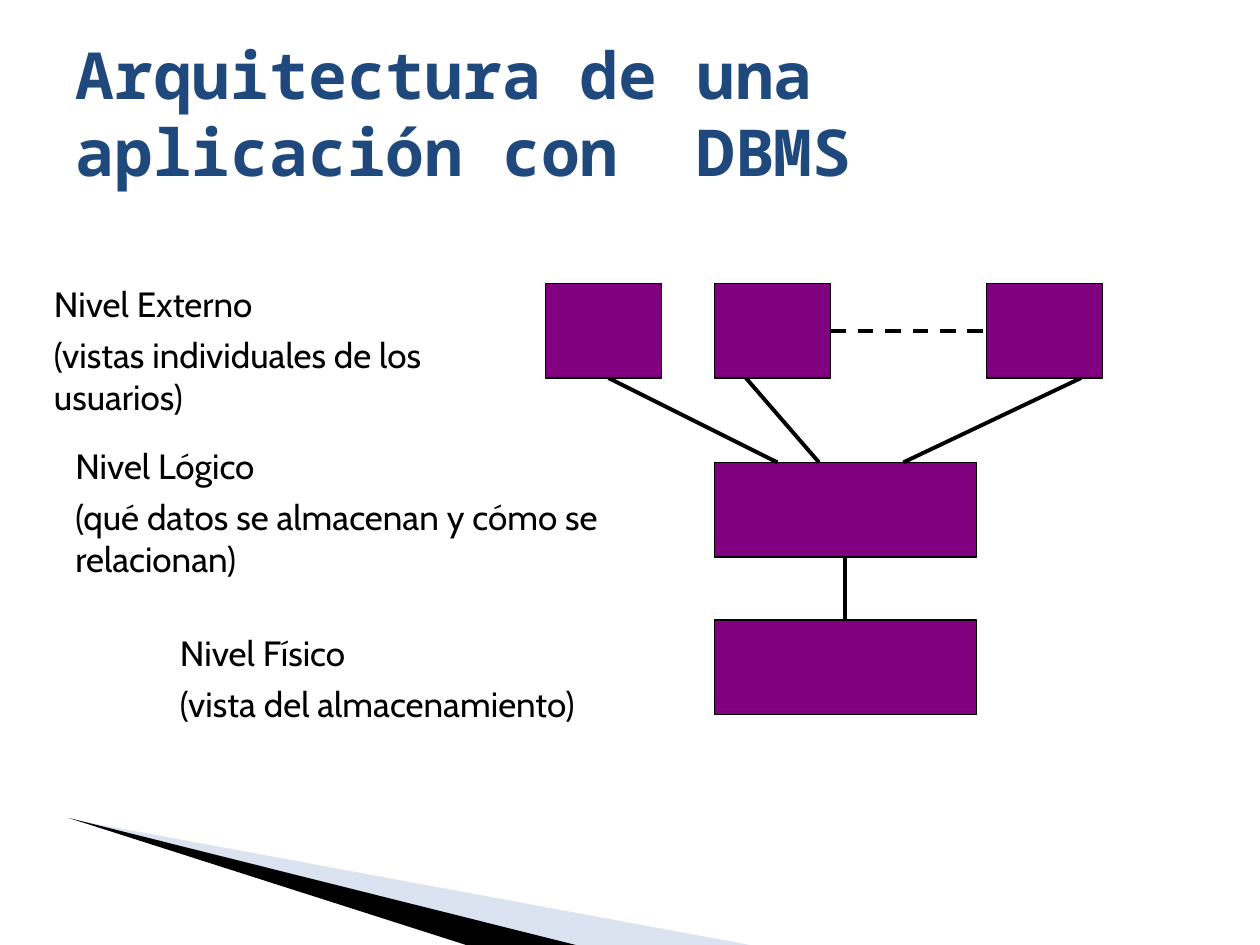
import pptx
import pptx.util
import pptx.dml.color
import pptx.enum.dml
import pptx.enum.shapes
import pptx.enum.text
import pptx.oxml
import pptx.oxml.ns

Inches = pptx.util.Inches
Pt = pptx.util.Pt

COLORS = {"title": "1F497D", "box": "800080", "ink": "000000", "pale": "A6B9DB"}
TITLE = "Arquitectura de una aplicación con  DBMS"
LEVELS = [
    (("Nivel Externo", "(vistas individuales de los usuarios)"), (0.33, 2.19, 3.75, 1.17)),
    (("Nivel Lógico", "(qué datos se almacenan y cómo se relacionan)"), (0.5, 3.48, 5, 1.17)),
    (("Nivel Físico", "(vista del almacenamiento)"), (1.33, 4.96, 4.25, 0.84)),
]
HIGH = 0.75
SMALL, WIDE = 0.92, 2.08
VIEW_Y, LOGIC_Y, DISK_Y = 2.25, 3.67, 4.92
BOXES = {
    "first": (4.33, VIEW_Y, SMALL),
    "second": (5.67, VIEW_Y, SMALL),
    "last": (7.83, VIEW_Y, SMALL),
    "logic": (5.67, LOGIC_Y, WIDE),
    "disk": (5.67, DISK_Y, WIDE),
}
SPOKES = [(4.83, 6.17), (5.92, 6.5), (8.58, 7.17)]
JOINS = [("second", 3, "last", 1, True), ("logic", 2, "disk", 0, False)]
WEDGES = [
    ([(0.55, 6.5), (5.95, 7.5), (4.56, 7.5)], "pale", 40),
    ([(0.54, 6.49), (4.57, 7.5), (3.7, 7.5)], "ink", 100),
]


def shade(name):
    return pptx.dml.color.RGBColor.from_string(COLORS[name])


def write(shape, lines, font="Cabin", size=20, color="ink", bold=False, before=0):
    frame = shape.text_frame
    frame.word_wrap = True
    frame.auto_size = pptx.enum.text.MSO_AUTO_SIZE.NONE
    frame.vertical_anchor = pptx.enum.text.MSO_ANCHOR.MIDDLE
    for i, line in enumerate(lines):
        para = frame.add_paragraph() if i else frame.paragraphs[0]
        para.alignment = pptx.enum.text.PP_ALIGN.LEFT
        para.space_before = Pt(before)
        run = para.add_run()
        run.text = line
        run.font.name = font
        run.font.size = Pt(size)
        run.font.bold = bold
        run.font.color.rgb = shade(color)


def link(shapes, start, end, dash=False):
    line = shapes.add_connector(
        pptx.enum.shapes.MSO_CONNECTOR.STRAIGHT, *map(Inches, start + end))
    line.line.color.rgb = shade("ink")
    line.line.width = Pt(2.25)
    if dash:
        line.line.dash_style = pptx.enum.dml.MSO_LINE.DASH
    props = line._element.spPr
    props.append(pptx.oxml.parse_xml(f"<a:effectLst {pptx.oxml.ns.nsdecls('a')}/>"))
    return line


def wedge(shapes, points, color, alpha):
    spots = [tuple(map(Inches, point)) for point in points]
    form = shapes.build_freeform(*spots[0])
    form.add_line_segments(spots[1:], close=True)
    shape = form.convert_to_shape()
    shape.shadow.inherit = False
    shape.fill.solid()
    shape.fill.fore_color.rgb = shade(color)
    shape.line.fill.background()
    if alpha < 100:
        tone = shape._element.spPr.find(".//" + pptx.oxml.ns.qn("a:srgbClr"))
        tone.append(pptx.oxml.parse_xml(
            f'<a:alpha {pptx.oxml.ns.nsdecls("a")} val="{alpha * 1000}"/>'))


def block(shapes, left, top, width):
    shape = shapes.add_shape(
        pptx.enum.shapes.MSO_SHAPE.RECTANGLE, *map(Inches, (left, top, width, HIGH)))
    shape.shadow.inherit = False
    shape.fill.solid()
    shape.fill.fore_color.rgb = shade("box")
    shape.line.color.rgb = shade("ink")
    shape.line.width = Pt(0.75)
    return shape


def main():
    deck = pptx.Presentation()
    deck.slide_width, deck.slide_height = Inches(10), Inches(7.5)
    slide = deck.slides.add_slide(deck.slide_layouts[5])
    shapes = slide.shapes
    for item in WEDGES:
        wedge(shapes, *item)
    title = shapes.title
    title.left, title.top, title.width, title.height = map(Inches, (0.5, 0.37, 8.75, 1.04))
    write(title, [TITLE], font="Noto Sans Mono", size=37, color="title", bold=True)
    boxes = {name: block(shapes, *spot) for name, spot in BOXES.items()}
    for start, end in SPOKES:
        link(shapes, (start, VIEW_Y + HIGH), (end, LOGIC_Y))
    for start, out, end, into, dash in JOINS:
        line = link(shapes, (0, 0), (1, 1), dash)
        line.begin_connect(boxes[start], out)
        line.end_connect(boxes[end], into)
    for lines, spot in LEVELS:
        write(shapes.add_textbox(*map(Inches, spot)), lines, before=5)
    deck.save("out.pptx")


if __name__ == "__main__":
    main()
